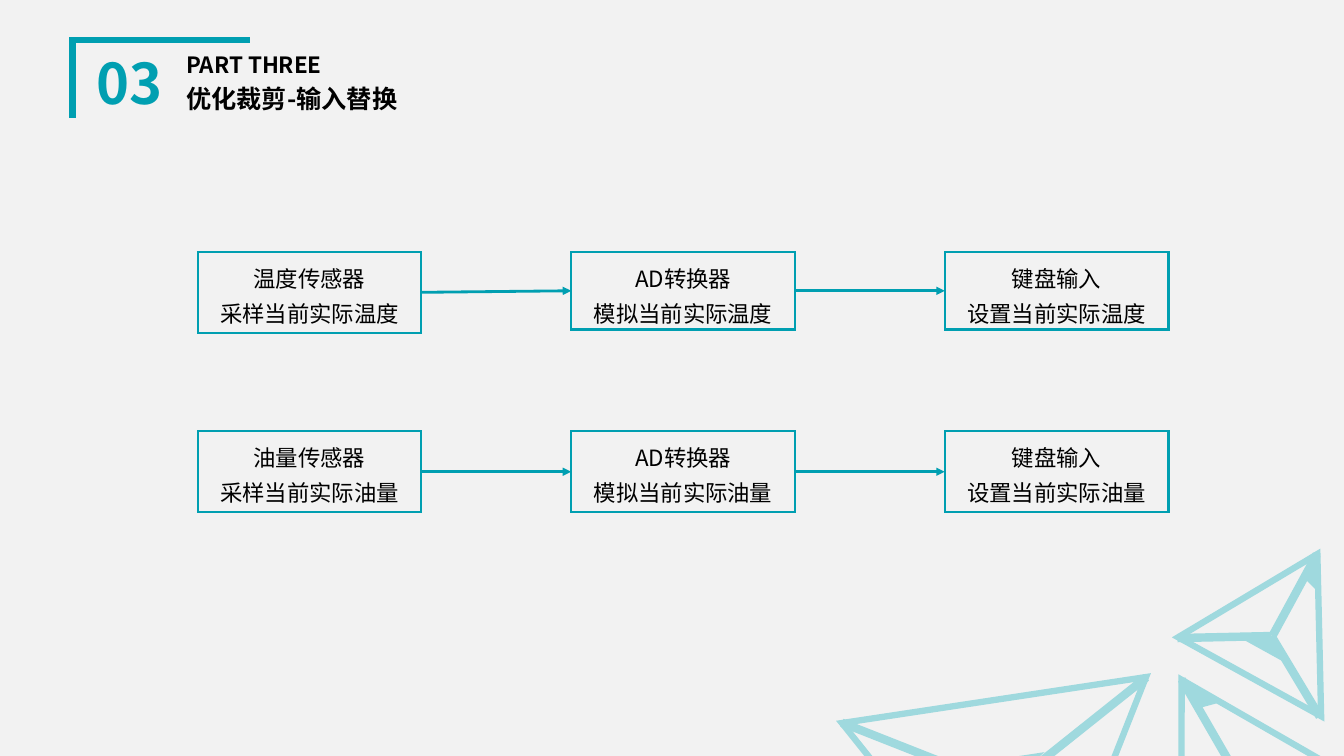
from lxml.etree import SubElement
from pptx import Presentation
from pptx.dml.color import RGBColor
from pptx.enum.shapes import MSO_CONNECTOR, MSO_SHAPE
from pptx.enum.text import MSO_ANCHOR, MSO_AUTO_SIZE, PP_ALIGN
from pptx.oxml.ns import qn
from pptx.util import Inches, Pt

TEAL, PALE, GREY, BLACK = "009FB1", "9FD9DE", "F2F2F2", "000000"
FACE = "Noto Sans CJK SC"
tint = RGBColor.from_string


def paint(shape, edge, width, fill=None, arrow=False):
    """Set outline and fill, with sharp corners and no shadow."""
    shape.line.color.rgb = tint(edge)
    shape.line.width = Pt(width)
    props = shape._element.spPr
    line = props.find(qn("a:ln"))
    SubElement(line, qn("a:miter"), lim="800000")
    if arrow:
        SubElement(line, qn("a:tailEnd"), type="triangle")
    SubElement(props, qn("a:effectLst"))
    if fill:
        shape.fill.solid()
        shape.fill.fore_color.rgb = tint(fill)
    elif hasattr(shape, "fill"):
        shape.fill.background()


def write(frame, lines, color, style, layout):
    frame.word_wrap = True
    for i, words in enumerate(lines):
        para = frame.add_paragraph() if i else frame.paragraphs[0]
        for name, value in layout.items():
            setattr(para, name, value)
        run = para.add_run()
        run.text = words
        for name, value in style.items():
            setattr(run.font, name, value)
        run.font.color.rgb = tint(color)
        SubElement(run.font._element, qn("a:ea"), typeface=FACE)


deck = Presentation()
deck.slide_width, deck.slide_height = Inches(13.33), Inches(7.5)
slide = deck.slides.add_slide(deck.slide_layouts[6])
slide.background.fill.solid()
slide.background.fill.fore_color.rgb = tint(GREY)
shapes = slide.shapes

# Corner bracket and gems, back to front: kind, geometry, turn, fill, width
ART = [
    ("path", [(0.72, 1.17), (0.72, 0.4), (2.48, 0.4)], 0, None, 4.5),
    ("tri", (8.53, 6.93, 3.05, 2.63), 171.4, GREY, 4.5),
    ("line", (11.37, 6.72, 9.99, 7.82), 0, None, 6),
    ("line", (8.35, 7.17, 10, 7.82), 0, None, 6),
    ("tri", (9.57, 7.53, 0.79, 0.24), 171.4, PALE, 1),
    ("tri", (11.16, 6.63, 1.97, 1.7), 330, GREY, 4.5),
    ("line", (11.72, 6.74, 12.28, 7.71), 0, None, 6),
    ("path", [(11.92, 7.01), (12.07, 6.97), (11.81, 6.82)], 0, PALE, 1),
    ("tri", (11.92, 5.41, 1.62, 1.39), 28.9, GREY, 4.5),
    ("line", (13.06, 5.5, 12.62, 6.31), 0, None, 6),
    ("line", (11.68, 6.33, 12.61, 6.31), 0, None, 6),
    ("line", (13.09, 7.11, 12.61, 6.31), 0, None, 6),
    ("tri", (12.36, 6.33, 0.42, 0.13), 28.9, PALE, 1),
    ("path", [(12.96, 5.75), (13.05, 5.84), (13.04, 5.6)], 0, PALE, 1),
]
for kind, place, turn, fill, width in ART:
    if kind == "path":
        points = [(Inches(x), Inches(y)) for x, y in place]
        pen = shapes.build_freeform(*points[0], scale=1)
        pen.add_line_segments(points[1:], close=bool(fill))
        part = pen.convert_to_shape()
    elif kind == "tri":
        part = shapes.add_shape(MSO_SHAPE.ISOSCELES_TRIANGLE, *map(Inches, place))
        part.rotation = turn
    else:
        part = shapes.add_connector(MSO_CONNECTOR.STRAIGHT, *map(Inches, place))
    paint(part, PALE if fill or kind == "line" else TEAL, width, fill)

# Heading
HEADS = [
    ("03", (0.82, 0.49, 0.93, 0.73), 40, TEAL, PP_ALIGN.CENTER),
    ("PART THREE", (1.75, 0.49, 2.67, 0.34), 16, BLACK, PP_ALIGN.LEFT),
    ("优化裁剪-输入替换", (1.75, 0.78, 2.67, 0.44), 18, BLACK, PP_ALIGN.LEFT),
]
for words, place, size, color, align in HEADS:
    frame = shapes.add_textbox(*map(Inches, place)).text_frame
    frame.vertical_anchor = MSO_ANCHOR.MIDDLE
    write(frame, [words], color, {"name": FACE, "size": Pt(size), "bold": True},
          {"alignment": align, "line_spacing": 0.9, "space_before": Pt(10)})

# Flow grid: one row per quantity, one column per stage
STAGES = [("{}传感器", "采样当前实际{}"), ("AD转换器", "模拟当前实际{}"),
          ("键盘输入", "设置当前实际{}")]
ROWS = [("温度", 2.5, (0.8, 0.77, 0.77)), ("油量", 4.28, (0.8, 0.8, 0.8))]
LEFT, STEP, WIDE = 1.96, 3.705, 2.22
for topic, top, highs in ROWS:
    for col, (stage, high) in enumerate(zip(STAGES, highs)):
        left = LEFT + col * STEP
        box = shapes.add_shape(MSO_SHAPE.RECTANGLE, *map(Inches, (left, top, WIDE, high)))
        paint(box, TEAL, 1.5)
        frame = box.text_frame
        frame.vertical_anchor = MSO_ANCHOR.TOP
        frame.auto_size = MSO_AUTO_SIZE.SHAPE_TO_FIT_TEXT
        write(frame, [words.format(topic) for words in stage], BLACK,
              {"name": FACE, "size": Pt(16)},
              {"alignment": PP_ALIGN.CENTER, "line_spacing": 1.3})
    for col in range(len(STAGES) - 1):
        start = LEFT + col * STEP + WIDE
        ends = (start, top + highs[col] / 2, LEFT + (col + 1) * STEP, top + highs[col + 1] / 2)
        link = shapes.add_connector(MSO_CONNECTOR.STRAIGHT, *map(Inches, ends))
        paint(link, TEAL, 2, arrow=True)

deck.save("out.pptx")
